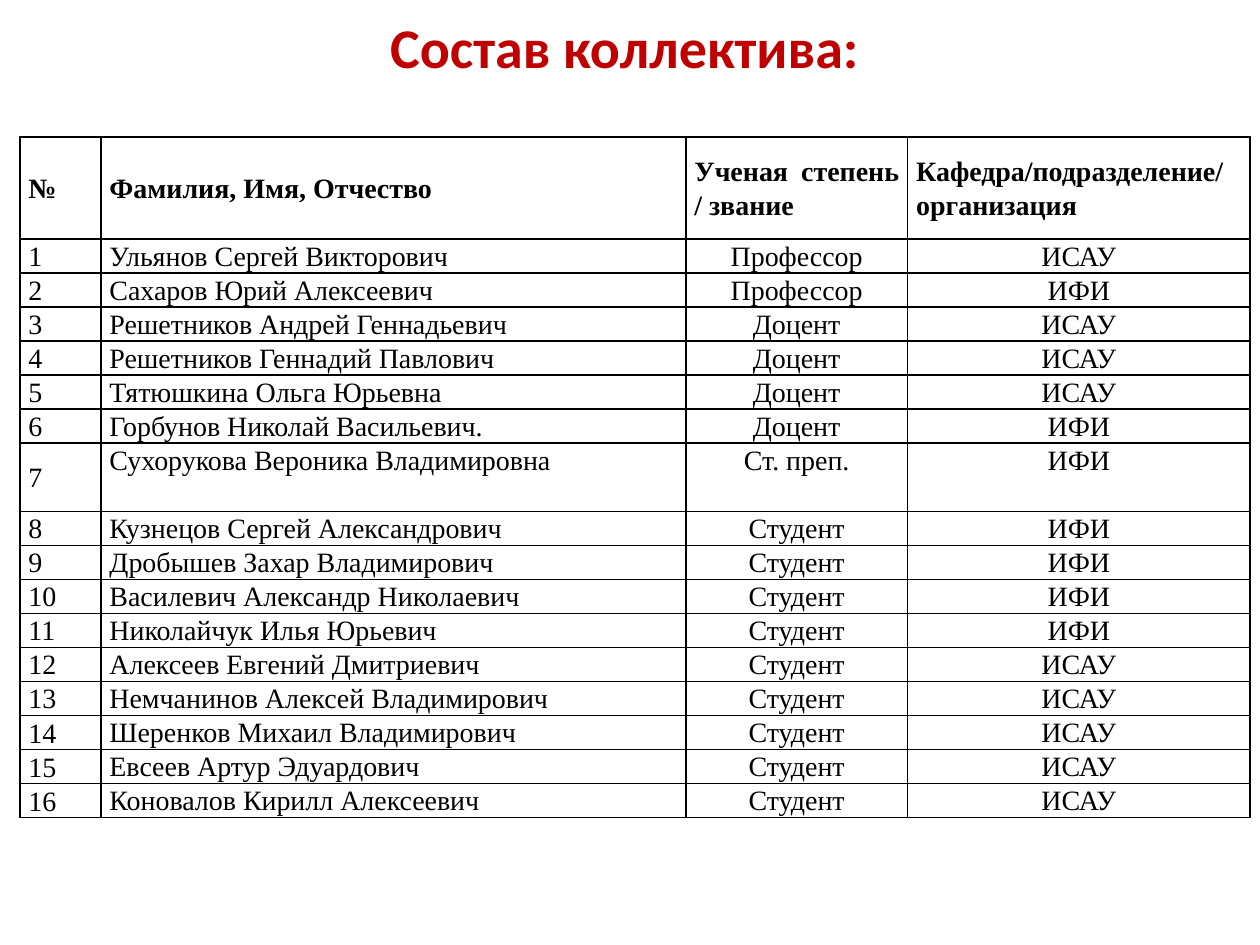
import pptx
import pptx.util
import pptx.dml.color
import pptx.enum.text
import pptx.oxml
import pptx.oxml.ns

Pt = pptx.util.Pt
ALIGN = pptx.enum.text.PP_ALIGN
ANCHOR = pptx.enum.text.MSO_ANCHOR


def paint(text):
    return pptx.dml.color.RGBColor.from_string(text)


def frame(cell, color, width):
    props = cell._tc.get_or_add_tcPr()
    for side in ("lnL", "lnR", "lnT", "lnB"):
        props.append(pptx.oxml.parse_xml(
            f'<a:{side} {pptx.oxml.ns.nsdecls("a")} w="{Pt(width)}">'
            f'<a:solidFill><a:srgbClr val="{color}"/></a:solidFill></a:{side}>'))


deck = pptx.Presentation()
deck.slide_width, deck.slide_height = Pt(720), Pt(540)
slide = deck.slides.add_slide(deck.slide_layouts[5])

# Title
title = slide.shapes.title
title.left, title.top, title.width, title.height = Pt(105), Pt(0), Pt(504), Pt(52.5)
title.text_frame.text = "Состав коллектива:"
title.text_frame.vertical_anchor = ANCHOR.MIDDLE
para = title.text_frame.paragraphs[0]
para.alignment = ALIGN.CENTER
para.font.name, para.font.size, para.font.bold = "Calibri", Pt(32), True
para.font.color.rgb = paint("C00000")

# Team members
head = ("№", "Фамилия, Имя, Отчество", "Ученая степень / звание",
        "Кафедра/подразделение/организация")
team = [
    ("Ульянов Сергей Викторович", "Профессор", "ИСАУ"),
    ("Сахаров Юрий Алексеевич", "Профессор", "ИФИ"),
    ("Решетников Андрей Геннадьевич", "Доцент", "ИСАУ"),
    ("Решетников Геннадий Павлович", "Доцент", "ИСАУ"),
    ("Тятюшкина Ольга Юрьевна", "Доцент", "ИСАУ"),
    ("Горбунов Николай Васильевич.", "Доцент", "ИФИ"),
    ("Сухорукова Вероника Владимировна", "Ст. преп.", "ИФИ"),
    ("Кузнецов Сергей Александрович", "Студент", "ИФИ"),
    ("Дробышев Захар Владимирович", "Студент", "ИФИ"),
    ("Василевич Александр Николаевич", "Студент", "ИФИ"),
    ("Николайчук Илья Юрьевич", "Студент", "ИФИ"),
    ("Алексеев Евгений Дмитриевич", "Студент", "ИСАУ"),
    ("Немчанинов Алексей Владимирович", "Студент", "ИСАУ"),
    ("Шеренков Михаил Владимирович", "Студент", "ИСАУ"),
    ("Евсеев Артур Эдуардович", "Студент", "ИСАУ"),
    ("Коновалов Кирилл Алексеевич", "Студент", "ИСАУ"),
]
rows = [head] + [(str(num), *who) for num, who in enumerate(team, 1)]

# Table grid: tall header, double height for member 7
widths = [46.4, 334.2, 126.8, 195.7]
line = 19.46
heights = [58.3] + [line] * len(team)
heights[7] = 2 * line
table = slide.shapes.add_table(len(rows), len(head), Pt(11.3), Pt(78.3),
                               Pt(sum(widths)), Pt(sum(heights))).table
for col, width in zip(table.columns, widths):
    col.width = Pt(width)
for row, height in zip(table.rows, heights):
    row.height = Pt(height)

# Table cells
for i, row in enumerate(rows):
    for j, text in enumerate(row):
        cell = table.cell(i, j)
        cell.text = text
        cell.margin_left = cell.margin_right = Pt(4.9)
        cell.margin_top = cell.margin_bottom = Pt(0)
        cell.vertical_anchor = ANCHOR.MIDDLE if i == 0 or j == 0 else ANCHOR.TOP
        frame(cell, "000000", 1)
        cell.fill.background()
        para = cell.text_frame.paragraphs[0]
        para.alignment = ALIGN.CENTER if i > 0 and j > 1 else ALIGN.JUSTIFY
        para.line_spacing = 1.07
        para.font.name, para.font.size = "Times New Roman", Pt(16)
        para.font.bold = i == 0
        para.font.color.rgb = paint("000000")

deck.save("out.pptx")
